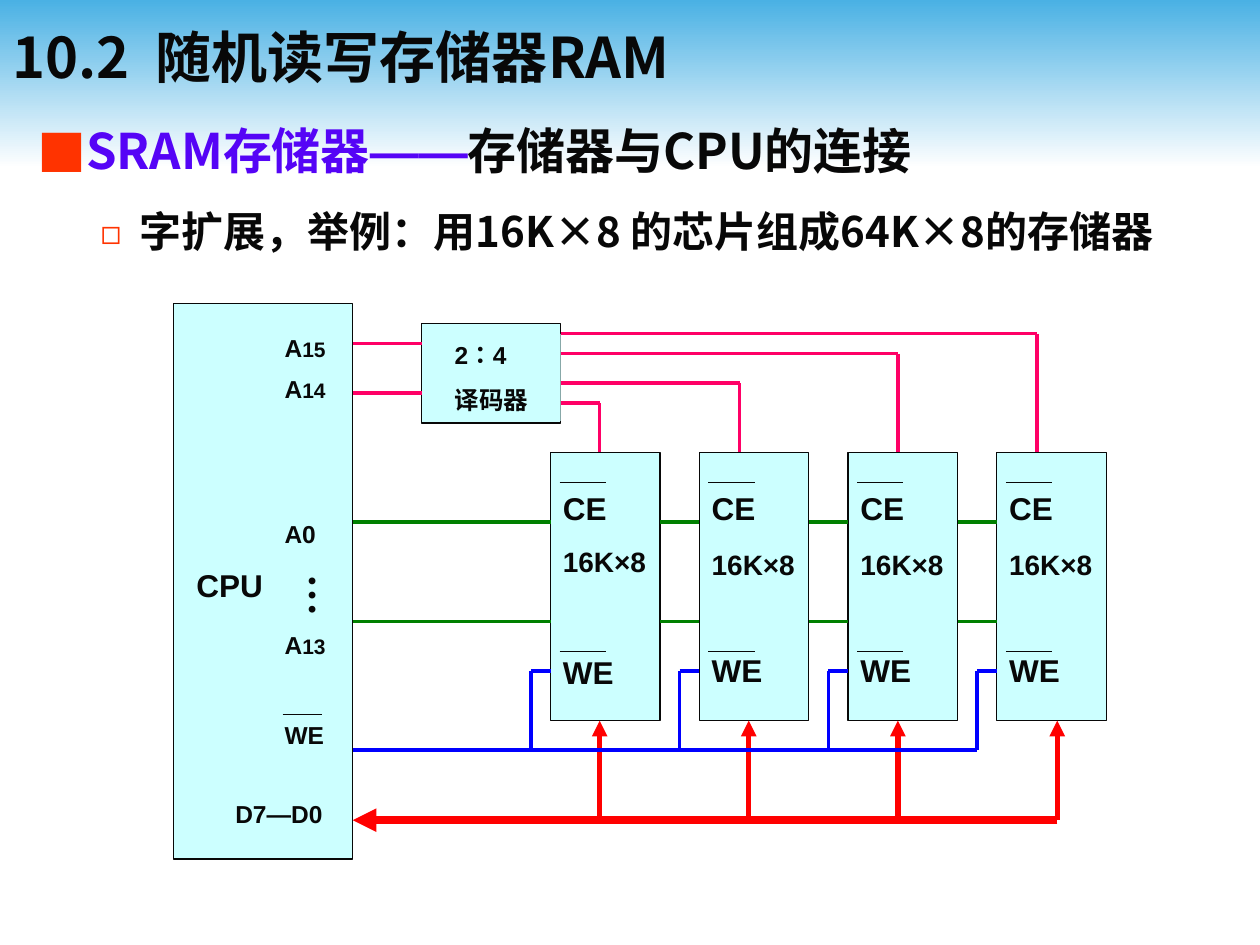
from lxml import etree
from pptx import Presentation
from pptx.dml.color import RGBColor
from pptx.enum.shapes import MSO_CONNECTOR, MSO_SHAPE
from pptx.enum.text import MSO_ANCHOR, PP_ALIGN
from pptx.oxml.ns import qn
from pptx.util import Pt

STRAIGHT = MSO_CONNECTOR.STRAIGHT
RECTANGLE = MSO_SHAPE.RECTANGLE
MIDDLE, TOP = MSO_ANCHOR.MIDDLE, MSO_ANCHOR.TOP
LEFT = PP_ALIGN.LEFT

INK, PALE, ORANGE, VIOLET = "080808", "CCFFFF", "FF3300", "5504F6"
SELECT, ADDRESS, WRITE, DATA = "FF0066", "008000", "0000FF", "FF0000"
CJK, LATIN, SERIF = "Noto Sans CJK JP", "Arial", "Times New Roman"


def rgb(hex_colour):
    return RGBColor.from_string(hex_colour)


class Diagram:
    """Holds the slide and the shared style; all lengths are points."""

    def __init__(self, slide):
        self.slide = slide
        self.shapes = slide.shapes

    def run(self, paragraph, text, size, font=LATIN, colour=INK):
        run = paragraph.add_run()
        run.text = text
        run.font.size = Pt(size)
        run.font.bold = True
        run.font.name = font
        run.font.color.rgb = rgb(colour)
        east_asian = etree.SubElement(run.font._element, qn("a:ea"))
        east_asian.set("typeface", CJK if font == LATIN and text != "——" else font)

    def paragraphs(self, frame, lines):
        """Each line is (space before, [run arguments, ...])."""
        for index, (before, runs) in enumerate(lines):
            paragraph = frame.paragraphs[0] if index == 0 else frame.add_paragraph()
            paragraph.alignment = LEFT
            paragraph.space_before = Pt(before)
            for run in runs:
                self.run(paragraph, *run)

    def title(self, text, left, top, width, height):
        title = self.shapes.title
        title.left, title.top = Pt(left), Pt(top)
        title.width, title.height = Pt(width), Pt(height)
        title.text_frame.vertical_anchor = MIDDLE
        self.paragraphs(title.text_frame, [(0, [(text, 32, CJK)])])

    def header(self, width, height):
        """Gradient band behind the title."""
        band = self.shapes.add_shape(RECTANGLE, 0, 0, Pt(width), Pt(height))
        band.shadow.inherit = False
        band.line.fill.background()
        band.fill.gradient()
        band.fill.gradient_angle = 270
        for stop, colour, position in zip(band.fill.gradient_stops, ("4AB1E4", "FFFFFF"), (0, 1)):
            stop.color.rgb = rgb(colour)
            stop.position = position
        self.shapes._spTree.insert(2, band._element)

    def block(self, left, top, width, height):
        block = self.shapes.add_shape(RECTANGLE, Pt(left), Pt(top), Pt(width), Pt(height))
        block.shadow.inherit = False
        block.fill.solid()
        block.fill.fore_color.rgb = rgb(PALE)
        block.line.color.rgb = rgb(INK)
        block.line.width = Pt(0.75)

    def text(self, left, top, width, height, lines, fill=None):
        box = self.shapes.add_textbox(Pt(left), Pt(top), Pt(width), Pt(height))
        if fill:
            box.fill.solid()
            box.fill.fore_color.rgb = rgb(fill)
        frame = box.text_frame
        frame.word_wrap = True
        frame.vertical_anchor = TOP
        self.paragraphs(frame, lines)
        return frame

    def bullet(self, paragraph, mark, margin, hanging, percent=100):
        properties = paragraph._p.get_or_add_pPr()
        properties.set("marL", str(Pt(margin)))
        properties.set("indent", str(-Pt(hanging)))
        colour = etree.SubElement(properties, qn("a:buClr"))
        etree.SubElement(colour, qn("a:srgbClr")).set("val", ORANGE)
        etree.SubElement(properties, qn("a:buSzPct")).set("val", str(percent * 1000))
        etree.SubElement(properties, qn("a:buFont")).set("typeface", CJK)
        etree.SubElement(properties, qn("a:buChar")).set("char", mark)

    def wire(self, points, colour=INK, width=0.75, arrow=False):
        """Straight segments through the points; an arrow sits at the last one."""
        for (x1, y1), (x2, y2) in zip(points, points[1:]):
            line = self.shapes.add_connector(STRAIGHT, Pt(x1), Pt(y1), Pt(x2), Pt(y2))
            line.line.color.rgb = rgb(colour)
            line.line.width = Pt(width)
            etree.SubElement(line._element.spPr, qn("a:effectLst"))
        if arrow:
            outline = line.line._get_or_add_ln()
            etree.SubElement(outline, qn("a:tailEnd")).set("type", "triangle")


def main():
    presentation = Presentation()
    presentation.slide_width, presentation.slide_height = Pt(720), Pt(540)
    diagram = Diagram(presentation.slides.add_slide(presentation.slide_layouts[5]))

    diagram.header(720, 96)
    diagram.title("10.2  随机读写存储器RAM", 0, 3.6, 720, 57)
    outline = diagram.text(14.4, 65.5, 686, 474.5, [
        (17.5, [("SRAM存储器", 28, CJK, VIOLET), ("——", 28, LATIN, VIOLET),
                ("存储器与CPU的连接", 28, CJK)]),
        (15, [("字扩展，举例：用16K×8 的芯片组成64K×8的存储器", 24, CJK)]),
    ])
    topic, example = outline.paragraphs
    diagram.bullet(topic, "■", 27, 27)
    diagram.bullet(example, "◻", 58.5, 22.5, 80)

    # CPU and its pins
    cpu_right = 201.6
    diagram.block(99.2, 173.4, cpu_right - 99.2, 317.6)
    pins = [
        (155.5, 186.5, 39.6, [("A", 14), ("15", 12)]),
        (155.5, 210.3, 39.6, [("A", 14), ("14", 12)]),
        (155.5, 293, 39.6, [("A0", 14)]),
        (155.5, 356.4, 39.6, [("A", 14), ("13", 12)]),
        (155.5, 408.2, 39.6, [("WE", 14)]),
        (127.4, 452.9, 67.7, [("D7—D0", 14)]),
        (105.1, 319.7, 67.7, [("CPU", 18)]),
    ]
    for left, top, width, runs in pins:
        diagram.text(left, top, width, 24.5, [(8, runs)], PALE)
    diagram.wire([(161.5, 408.4), (184.3, 408.4)])

    # Decoder
    decoder_left, decoder_right = 241, 320.4
    diagram.block(decoder_left, 184.9, decoder_right - decoder_left, 56.9)
    diagram.text(252.7, 190.8, 67.7, 49.7,
                 [(8.8, [("2：4", 14)]), (8.8, [("译码器", 14)])], PALE)
    for y in (196.4, 224.7):
        diagram.wire([(cpu_right, y), (decoder_left, y)], SELECT, 2)

    # Memory chips with their select, address, write and data lines
    chip_width, chip_top, chip_bottom = 62.6, 258.5, 411.8
    chip_lefts = [314.6 + 85 * index for index in range(4)]
    selects = [(342.7, 230.4), (422.6, 218.9), (513.2, 202.1), (592.6, 190.6)]
    data_taps = [342.7, 427.9, 513.1, 604.2]
    write_y, write_pin_y, data_y = 428.6, 383.5, 468.7
    address_start = cpu_right
    for index, (left, select, data_x) in enumerate(zip(chip_lefts, selects, data_taps)):
        size_gap, write_gap = (10, 43) if index == 0 else (12, 39.6)
        diagram.block(left, chip_top, chip_width, chip_bottom - chip_top)
        diagram.text(left, 275.8, 73.4, 123, [
            (11.2, [("CE", 18)]), (size_gap, [("16K×8", 16)]), (write_gap, [("WE", 18)])])
        for y in (275.8, 372.2):
            diagram.wire([(left + 5.2, y), (left + 31.6, y)])

        select_x, select_y = select
        diagram.wire([(decoder_right, select_y), (select_x, select_y), (select_x, chip_top)],
                     SELECT, 2)
        for y in (298.3, 355.1):
            diagram.wire([(address_start, y), (left, y)], ADDRESS, 2)
        address_start = left + chip_width
        tap_x = left - 11.2
        diagram.wire([(tap_x, write_y), (tap_x, write_pin_y), (left, write_pin_y)], WRITE, 2)
        diagram.wire([(data_x, data_y), (data_x, chip_bottom)], DATA, 3, arrow=True)
    diagram.wire([(cpu_right, write_y), (chip_lefts[-1] - 11.2, write_y)], WRITE, 2)
    diagram.wire([(data_taps[-1], data_y), (cpu_right, data_y)], DATA, 4.5, arrow=True)

    dots = diagram.text(161.3, 321.1, 43.2, 28.1, [(0, [("…", 24, SERIF)])])
    dots.margin_left = dots.margin_right = Pt(3.6)
    dots.margin_top = dots.margin_bottom = Pt(7.2)
    dots._txBody.bodyPr.set("vert", "eaVert")

    presentation.save("out.pptx")


if __name__ == "__main__":
    main()
